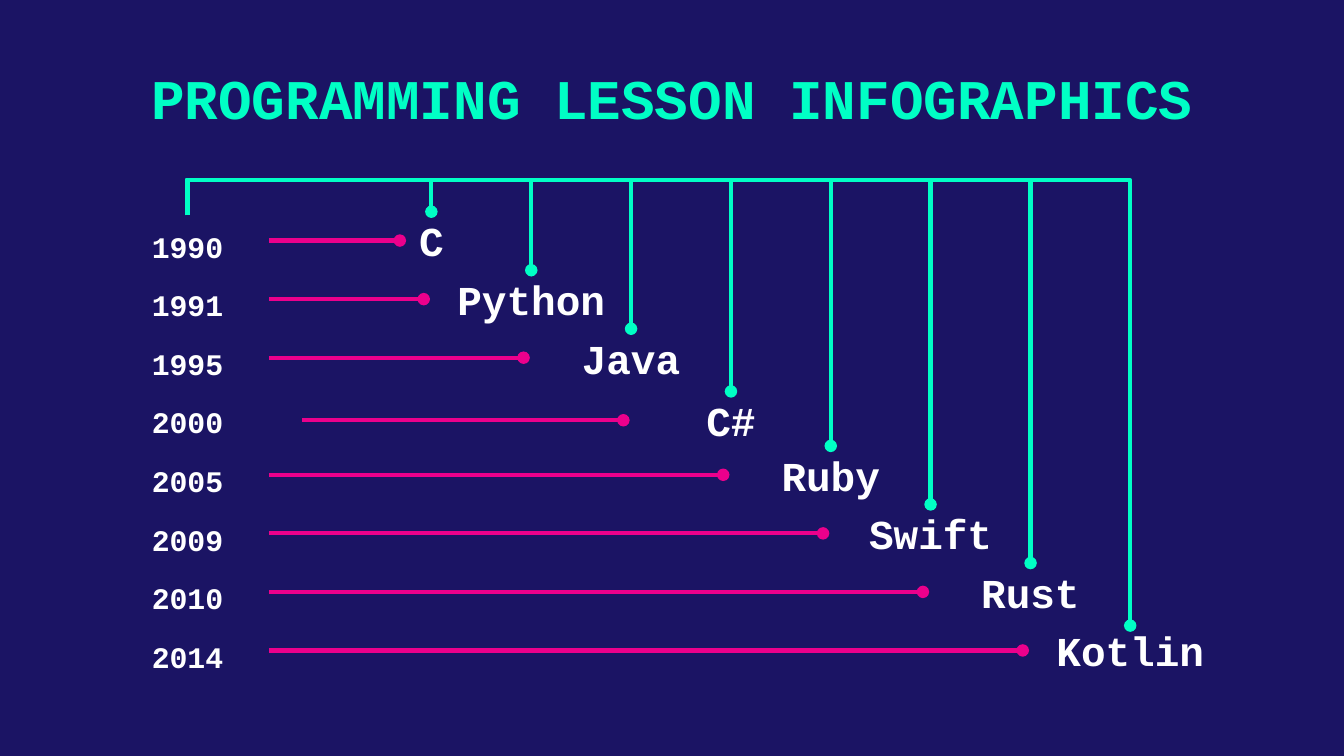
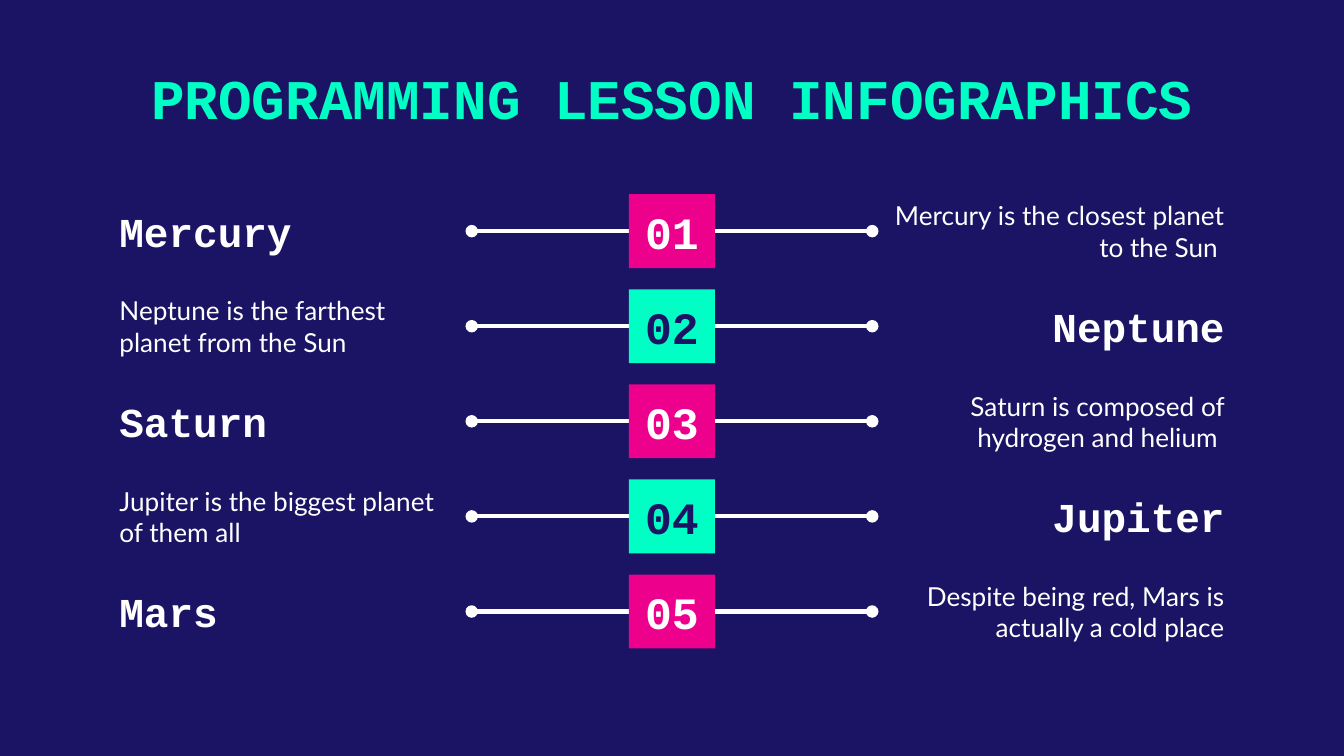
from lxml.etree import SubElement
from pptx import Presentation
from pptx.dml.color import RGBColor
from pptx.enum.shapes import MSO_CONNECTOR as CONN, MSO_SHAPE as SHAPE
from pptx.enum.text import MSO_ANCHOR as ANCHOR, MSO_AUTO_SIZE as AUTOSIZE, PP_ALIGN as ALIGN
from pptx.oxml.ns import qn
from pptx.util import Inches, Pt

# Shared look
NAVY = RGBColor(0x1B, 0x14, 0x64)
MINT = RGBColor(0x00, 0xFF, 0xC5)
PINK = RGBColor(0xEC, 0x00, 0x8C)
WHITE = RGBColor(0xFF, 0xFF, 0xFF)
CODE_FONT, BODY_FONT = "Courier New", "Lato"
WIDTH = 10
HEIGHT = WIDTH * 9 / 16
MARGIN = 0.79
TITLE = "PROGRAMMING LESSON INFOGRAPHICS"

# Timeline grid: one row per year, one column per language
ROW_Y, ROW_STEP = 1.79, 3.05 / 7
COL_X, COL_STEP = 3.21, 5.2 / 7
YEAR_W, YEAR_H = 1.21, 0.39
RAIL_Y, DROP_Y = 1.34, 1.6
LABEL_W, LABEL_H = 1.6, 0.43
LANGUAGES = [
    ("1990", "C", {"width": 0.47}),
    ("1991", "Python", {}),
    ("1995", "Java", {}),
    ("2000", "C#", {"nudge": 0.03, "indent": 0.25}),
    ("2005", "Ruby", {}),
    ("2009", "Swift", {}),
    ("2010", "Rust", {}),
    ("2014", "Kotlin", {"height": 0.37}),
]

# Planet grid: text, number box, text
PLANET_Y, PLANET_STEP = 1.72, 2.83 / 4
SIDE_W, SIDE_H = 2.72, 0.47
BOX_W, BOX_H = 0.64, 0.55
PLANETS = [
    ("Mercury", "Mercury is the closest planet to the Sun "),
    ("Neptune", "Neptune is the farthest planet from the Sun"),
    ("Saturn", "Saturn is composed of hydrogen and helium "),
    ("Jupiter", "Jupiter is the biggest planet of them all"),
    ("Mars", "Despite being red, Mars is actually a cold place"),
]


def write(s, text, size=22, font=CODE_FONT, color=WHITE, bold=True,
          align=ALIGN.CENTER, anchor=ANCHOR.MIDDLE, pad=0.1):
    """Fill a shape with one formatted paragraph."""
    tf = s.text_frame
    tf.word_wrap = True
    tf.auto_size = AUTOSIZE.NONE
    tf.vertical_anchor = anchor
    tf.margin_left = tf.margin_right = Inches(0.1)
    tf.margin_top = tf.margin_bottom = Inches(pad)
    p = tf.paragraphs[0]
    p.alignment = align
    r = p.add_run()
    r.text = text
    r.font.name, r.font.size, r.font.bold = font, Pt(size), bold
    r.font.color.rgb = color


def add_text(slide, text, x, y, w, h, **fmt):
    s = slide.shapes.add_textbox(*map(Inches, (x, y, w, h)))
    write(s, text, **fmt)


def add_titled_slide(prs):
    slide = prs.slides.add_slide(prs.slide_layouts[5])
    s = slide.shapes.title
    s.left, s.top = Inches(MARGIN), Inches(0.37)
    s.width, s.height = Inches(WIDTH - 2 * MARGIN), Inches(0.73)
    write(s, TITLE, size=30, color=MINT, anchor=ANCHOR.TOP)
    return slide


def add_dotted_line(slide, start, end, color, kind=CONN.STRAIGHT):
    """Draw a connector with a round dot at its end."""
    s = slide.shapes.add_connector(kind, *map(Inches, (*start, *end)))
    s.line.color.rgb = color
    s.line.width = Pt(2.25)
    SubElement(s.line._get_or_add_ln(), qn("a:tailEnd"), type="oval")
    SubElement(s._element.spPr, qn("a:effectLst"))
    return s


def add_drop(slide, start, end):
    """Draw an elbow that rises to the rail, runs right and drops to end."""
    (x0, y0), (x1, y1) = start, end
    s = add_dotted_line(slide, start, end, MINT, CONN.ELBOW)
    w, h = abs(y1 - y0), x1 - x0
    s.left, s.top = Inches((x0 + x1 - w) / 2), Inches((y0 + y1 - h) / 2)
    s.width, s.height = Inches(w), Inches(h)
    # The elbow is turned upright, and its bend set at the rail
    spPr = s._element.spPr
    xfrm = spPr.find(qn("a:xfrm"))
    for flip in ("flipH", "flipV"):
        xfrm.attrib.pop(flip, None)
    xfrm.set("rot", str(270 * 60000))
    if y1 > y0:
        xfrm.set("flipH", "1")
    guides = spPr.find(qn("a:prstGeom")).get_or_add_avLst()
    bend = round((RAIL_Y - y0) / (y1 - y0) * 100000)
    SubElement(guides, qn("a:gd"), name="adj1", fmla=f"val {bend}")


def add_language(slide, i, year, name, width=LABEL_W, height=LABEL_H,
                 nudge=0, indent=0):
    x = COL_X + i * COL_STEP
    y = ROW_Y + i * ROW_STEP + nudge
    left, top = x - width / 2, y - height / 2
    add_drop(slide, (MARGIN + YEAR_W / 2, DROP_Y), (x, top))
    add_dotted_line(slide, (MARGIN + YEAR_W + indent, y), (left, y), PINK)
    add_text(slide, year, MARGIN, DROP_Y + i * ROW_STEP, YEAR_W, YEAR_H,
             size=16, anchor=ANCHOR.TOP)
    add_text(slide, name, left, top, width, height, pad=0)


def add_planet(slide, i, name, fact):
    y = PLANET_Y + i * PLANET_STEP
    odd = i % 2 == 1
    box_left = (WIDTH - BOX_W) / 2
    left_end, right_start = MARGIN + SIDE_W, WIDTH - MARGIN - SIDE_W

    # Lines out of the number box
    add_dotted_line(slide, (box_left, y), (left_end, y), WHITE)
    add_dotted_line(slide, (box_left + BOX_W, y), (right_start, y), WHITE)

    # Name and fact swap sides on every other row
    name_fmt = {"pad": 0}
    fact_fmt = {"size": 14, "font": BODY_FONT, "bold": False}
    sides = [(name, name_fmt), (fact, fact_fmt)]
    places = [(MARGIN, ALIGN.LEFT), (right_start, ALIGN.RIGHT)]
    for (text, fmt), (x, align) in zip(sides[::-1] if odd else sides, places):
        add_text(slide, text, x, y - SIDE_H / 2, SIDE_W, SIDE_H, align=align, **fmt)

    # Number box
    s = slide.shapes.add_shape(
        SHAPE.RECTANGLE, *map(Inches, (box_left, y - BOX_H / 2, BOX_W, BOX_H)))
    s.shadow.inherit = False
    s.fill.solid()
    s.fill.fore_color.rgb = MINT if odd else PINK
    s.line.fill.background()
    write(s, f"{i + 1:02}", size=24, color=NAVY if odd else WHITE)


def main():
    prs = Presentation()
    prs.slide_width, prs.slide_height = Inches(WIDTH), Inches(HEIGHT)
    fill = prs.slide_master.background.fill
    fill.solid()
    fill.fore_color.rgb = NAVY

    # Language timeline
    slide = add_titled_slide(prs)
    for i, (year, name, options) in enumerate(LANGUAGES):
        add_language(slide, i, year, name, **options)

    # Planet list
    slide = add_titled_slide(prs)
    for i, (name, fact) in enumerate(PLANETS):
        add_planet(slide, i, name, fact)

    prs.save("out.pptx")


if __name__ == "__main__":
    main()
